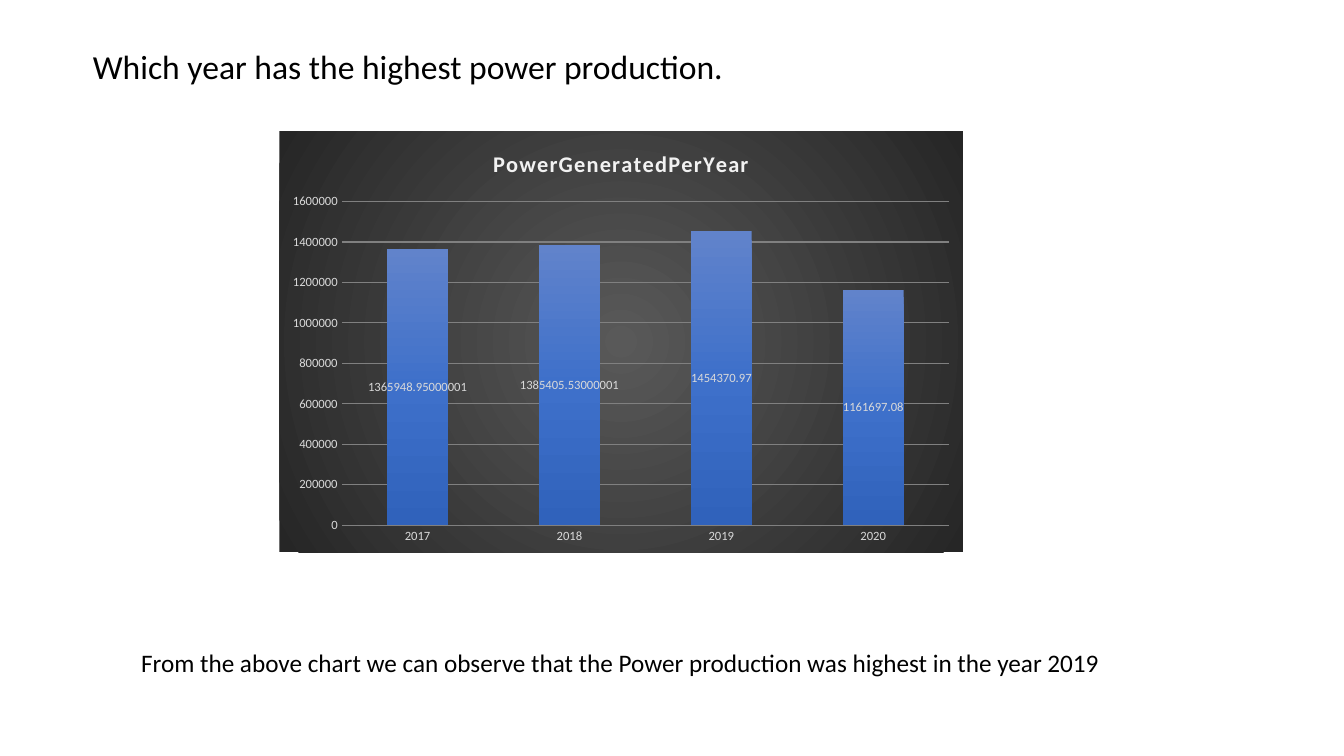
from lxml import etree
from pptx import Presentation
from pptx.chart.data import CategoryChartData
from pptx.dml.color import RGBColor
from pptx.enum.chart import XL_CHART_TYPE, XL_LABEL_POSITION, XL_TICK_MARK
from pptx.enum.text import MSO_ANCHOR
from pptx.oxml import parse_xml
from pptx.oxml.ns import nsdecls
from pptx.util import Pt

PX = 9525
FONT = "Calibri"
COLUMNS = XL_CHART_TYPE.COLUMN_STACKED
CENTER = XL_LABEL_POSITION.CENTER
NO_TICK = XL_TICK_MARK.NONE
TOP, BOTTOM = MSO_ANCHOR.TOP, MSO_ANCHOR.BOTTOM


def style(font, size, color):
    font.name, font.size = FONT, Pt(size)
    font.color.rgb = RGBColor.from_string(color)


def gradient_sppr(stops, direction):
    """Return a chart c:spPr with a gradient fill and no outline."""
    gs = "".join(f'<a:gs pos="{pos * 1000}"><a:srgbClr val="{color}"/></a:gs>'
                 for pos, color in stops)
    return parse_xml(
        f'<c:spPr {nsdecls("c", "a")}><a:gradFill><a:gsLst>{gs}</a:gsLst>'
        f'{direction}</a:gradFill><a:ln><a:noFill/></a:ln></c:spPr>')


prs = Presentation()
prs.slide_width, prs.slide_height = 1280 * PX, 720 * PX
s = prs.slides.add_slide(prs.slide_layouts[6])

# Heading and conclusion
texts = [
    ("Which year has the highest power production.", (79, 43, 1104, 84), 24, TOP, 0.9),
    ("From the above chart we can observe that the Power production was "
     "highest in the year 2019", (125, 553, 1050, 97), 18, BOTTOM, 1.0),
]
for text, box, size, anchor, spacing in texts:
    tf = s.shapes.add_textbox(*(v * PX for v in box)).text_frame
    tf.word_wrap = True
    tf.vertical_anchor = anchor
    p = tf.paragraphs[0]
    p.text = text
    p.line_spacing = spacing
    style(p.font, size, "000000")

# Column chart
data = CategoryChartData()
data.categories = ["2017", "2018", "2019", "2020"]
data.add_series("Series 1", [1365948.95000001, 1385405.53000001, 1454370.97, 1161697.08])
chart = s.shapes.add_chart(COLUMNS, *(v * PX for v in (266, 125, 651, 401)), data).chart
chart.has_legend = False
style(chart.font, 10, "000000")

chart.has_title = True
p = chart.chart_title.text_frame.paragraphs[0]
r = p.add_run()
r.text = "PowerGeneratedPerYear"
style(r.font, 16, "F2F2F2")
r.font.bold = True
r.font._element.set("spc", "100")
chart.chart_title.include_in_layout = False

for axis in (chart.category_axis, chart.value_axis):
    axis.major_tick_mark = axis.minor_tick_mark = NO_TICK
    axis.format.line.fill.background()
    style(axis.tick_labels.font, 9, "D9D9D9")
value_axis = chart.value_axis
value_axis.minimum_scale, value_axis.maximum_scale = 0, 1600000
value_axis.major_unit = 200000
grid = value_axis.major_gridlines.format.line
grid.width = Pt(0.75)
grid.color.rgb = RGBColor.from_string("808080")

plot = chart.plots[0]
plot.gap_width, plot.overlap = 150, 100
plot.vary_by_categories = False
series = plot.series[0]
labels = series.data_labels
labels.show_value = True
labels.position = CENTER
labels.number_format, labels.number_format_is_linked = "General", False
style(labels.font, 9, "D9D9D9")

# Gradients of the columns and the chart background
ser = series._element
ser.replace(ser.get_or_add_spPr(), gradient_sppr(
    [(0, "6183CB"), (50, "3E70CA"), (100, "3062BB")],
    '<a:lin ang="5400000" scaled="0"/>'))
center = etree.QName("c", "chart").localname
chart_node = next(n for n in chart._chartSpace if etree.QName(n).localname == center)
chart_node.addnext(gradient_sppr(
    [(0, "595959"), (100, "262626")],
    '<a:path path="circle"><a:fillToRect l="50000" t="50000" r="50000" b="50000"/></a:path>'))

prs.save("out.pptx")
